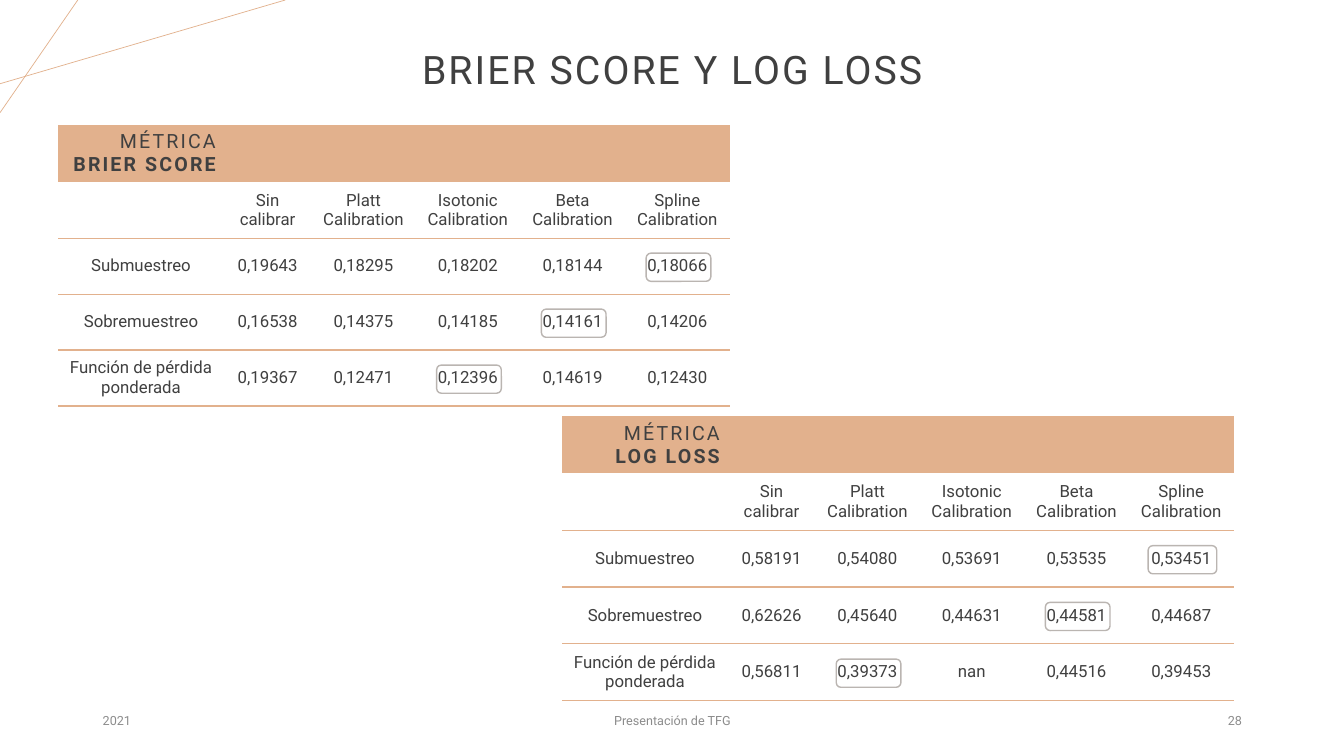
from dataclasses import dataclass

from lxml.etree import SubElement
from pptx import Presentation
from pptx.dml.color import RGBColor
from pptx.enum.shapes import MSO_CONNECTOR, MSO_SHAPE
from pptx.enum.text import MSO_ANCHOR, PP_ALIGN
from pptx.oxml import parse_xml
from pptx.oxml.ns import nsdecls, qn
from pptx.slide import Slide
from pptx.table import Table, _Cell as Cell
from pptx.text.text import _Paragraph as Paragraph
from pptx.util import Cm, Pt

FONT = "Roboto"
PEACH = RGBColor(0xE2, 0xB1, 0x8D)
DARK = RGBColor(0x40, 0x40, 0x40)
GRAY = RGBColor(0x8C, 0x8C, 0x8C)
FRAME = RGBColor(0xBA, 0xB5, 0xB1)
NO_STYLE = "{2D5ABB26-0587-4C30-8999-92F81FD0307C}"

# Table grid, in centimetres
COLUMN_WIDTHS = [4.17, 2.21, 2.62, 2.64, 2.64, 2.64]
HEADER_HEIGHT = 1.44
FRAME_HEIGHT = 0.71
FRAME_SHIFT = 0.03
LABEL_MARGIN = 0.2

METHODS = ["", "Sin calibrar", "Platt Calibration", "Isotonic Calibration",
           "Beta Calibration", "Spline Calibration"]
SAMPLINGS = ["Submuestreo", "Sobremuestreo", "Función de pérdida ponderada"]


@dataclass
class Best:
    row: int
    column: int
    width: float = 1.63


@dataclass
class Metric:
    name: str
    left: float
    top: float
    row_height: float
    scores: list[list[str]]
    best: list[Best]


@dataclass
class FooterItem:
    text: str
    left: float
    width: float
    alignment: PP_ALIGN


@dataclass
class CornerLine:
    begin: tuple[float, float]
    end: tuple[float, float]


METRICS = [
    Metric("BRIER SCORE", 1.47, 3.15, 1.41,
           [["0,19643", "0,18295", "0,18202", "0,18144", "0,18066"],
            ["0,16538", "0,14375", "0,14185", "0,14161", "0,14206"],
            ["0,19367", "0,12471", "0,12396", "0,14619", "0,12430"]],
           [Best(2, 5), Best(3, 4), Best(4, 3)]),
    Metric("LOG LOSS", 14.17, 10.49, 1.43,
           [["0,58191", "0,54080", "0,53691", "0,53535", "0,53451"],
            ["0,62626", "0,45640", "0,44631", "0,44581", "0,44687"],
            ["0,56811", "0,39373", "nan", "0,44516", "0,39453"]],
           [Best(2, 5, 1.73), Best(3, 4), Best(4, 2)]),
]
FOOTER = [
    FooterItem("2021", 2.34, 7.62, PP_ALIGN.LEFT),
    FooterItem("Presentación de TFG", 11.23, 11.43, PP_ALIGN.CENTER),
    FooterItem("28", 23.93, 7.62, PP_ALIGN.RIGHT),
]
CORNER_LINES = [CornerLine((0, 2.11), (7.19, 0)), CornerLine((1.96, 0), (0, 2.84))]


def add_run(paragraph: Paragraph, text: str, size: float, color: RGBColor = DARK,
            bold: bool = False, spacing: int = 0) -> None:
    run = paragraph.add_run()
    run.text = text
    run.font.name = FONT
    run.font.size = Pt(size)
    run.font.bold = bold
    run.font.color.rgb = color
    run.font._element.set("spc", str(spacing))


def set_borders(cell: Cell, sides: str) -> None:
    properties = cell._tc.get_or_add_tcPr()
    for position, side in enumerate(sides):
        properties.insert(position, parse_xml(
            f'<a:ln{side} {nsdecls("a")} w="12700"><a:solidFill>'
            f'<a:srgbClr val="{PEACH}"/></a:solidFill></a:ln{side}>'))


def fill_header(table: Table, name: str) -> None:
    for cell in table.rows[0].cells:
        cell.fill.solid()
        cell.fill.fore_color.rgb = PEACH
    title_cell = table.cell(0, 0)
    first = title_cell.text_frame.paragraphs[0]
    second = title_cell.text_frame.add_paragraph()
    add_run(first, "MÉTRICA", 14, spacing=150)
    add_run(second, name, 14, bold=True, spacing=150)
    first.alignment = second.alignment = PP_ALIGN.RIGHT


def add_metric_table(slide: Slide, metric: Metric) -> None:
    body = [METHODS] + [[label, *scores] for label, scores in zip(SAMPLINGS, metric.scores)]
    body.append([""] * len(METHODS))
    heights = [HEADER_HEIGHT] + [metric.row_height] * len(body)
    table = slide.shapes.add_table(
        len(heights), len(COLUMN_WIDTHS), Cm(metric.left), Cm(metric.top),
        Cm(sum(COLUMN_WIDTHS)), Cm(sum(heights))).table
    table.first_row = table.horz_banding = False
    table._tbl.tblPr.find(qn("a:tableStyleId")).text = NO_STYLE
    for column, width in zip(table.columns, COLUMN_WIDTHS):
        column.width = Cm(width)
    for row, height in zip(table.rows, heights):
        row.height = Cm(height)
        row.cells[0].margin_left = row.cells[0].margin_right = Cm(LABEL_MARGIN)
    for cell in table.iter_cells():
        cell.vertical_anchor = MSO_ANCHOR.MIDDLE

    fill_header(table, metric.name)
    for row_index, texts in enumerate(body, start=1):
        sides = "B" if row_index == 1 else "T" if row_index == len(body) else "TB"
        for column_index, text in enumerate(texts):
            cell = table.cell(row_index, column_index)
            cell.fill.background()
            set_borders(cell, sides)
            if text:
                paragraph = cell.text_frame.paragraphs[0]
                paragraph.alignment = PP_ALIGN.CENTER
                add_run(paragraph, text, 12)


def add_best_frame(slide: Slide, metric: Metric, best: Best) -> None:
    center_x = (metric.left + sum(COLUMN_WIDTHS[:best.column])
                + COLUMN_WIDTHS[best.column] / 2 + FRAME_SHIFT)
    center_y = metric.top + HEADER_HEIGHT + metric.row_height * (best.row - 0.5) + FRAME_SHIFT
    shape = slide.shapes.add_shape(
        MSO_SHAPE.ROUNDED_RECTANGLE, Cm(center_x - best.width / 2),
        Cm(center_y - FRAME_HEIGHT / 2), Cm(best.width), Cm(FRAME_HEIGHT))
    shape.shadow.inherit = False
    shape.fill.background()
    shape.line.color.rgb = FRAME
    shape.line.width = Pt(1)


def add_corner_line(slide: Slide, line: CornerLine) -> None:
    connector = slide.shapes.add_connector(
        MSO_CONNECTOR.STRAIGHT, *map(Cm, line.begin), *map(Cm, line.end))
    connector.line.color.rgb = PEACH
    connector.line.width = Pt(0.5)
    SubElement(connector._element.spPr, qn("a:effectLst"))


def add_footer_item(slide: Slide, item: FooterItem) -> None:
    frame = slide.shapes.add_textbox(
        Cm(item.left), Cm(17.65), Cm(item.width), Cm(1.02)).text_frame
    frame.word_wrap = True
    frame.vertical_anchor = MSO_ANCHOR.MIDDLE
    paragraph = frame.paragraphs[0]
    paragraph.alignment = item.alignment
    add_run(paragraph, item.text, 9, GRAY)


def set_title(slide: Slide, text: str) -> None:
    title = slide.shapes.title
    title.left, title.top, title.width, title.height = Cm(2.34), Cm(1.02), Cm(29.21), Cm(1.6)
    title.text_frame.vertical_anchor = MSO_ANCHOR.MIDDLE
    paragraph = title.text_frame.paragraphs[0]
    paragraph.alignment = PP_ALIGN.CENTER
    paragraph.line_spacing = 0.9
    add_run(paragraph, text, 28, spacing=150)


def main() -> None:
    presentation = Presentation()
    presentation.slide_width, presentation.slide_height = Cm(33.87), Cm(19.05)
    slide = presentation.slides.add_slide(presentation.slide_layouts[5])

    # Corner decoration, title and footer
    for line in CORNER_LINES:
        add_corner_line(slide, line)
    set_title(slide, "BRIER SCORE Y LOG LOSS")
    for item in FOOTER:
        add_footer_item(slide, item)

    # Metric tables with the best score of each row framed
    for metric in METRICS:
        add_metric_table(slide, metric)
        for best in metric.best:
            add_best_frame(slide, metric, best)

    presentation.save("out.pptx")


if __name__ == "__main__":
    main()
